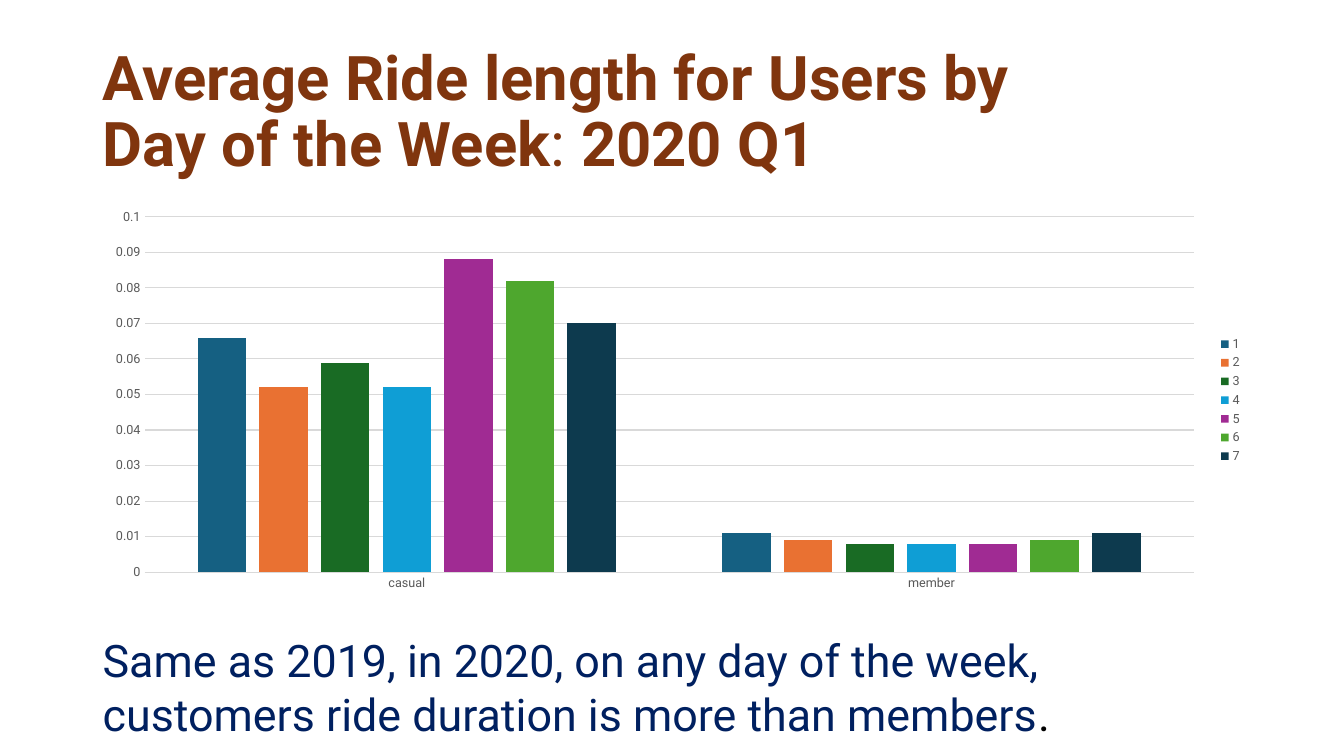
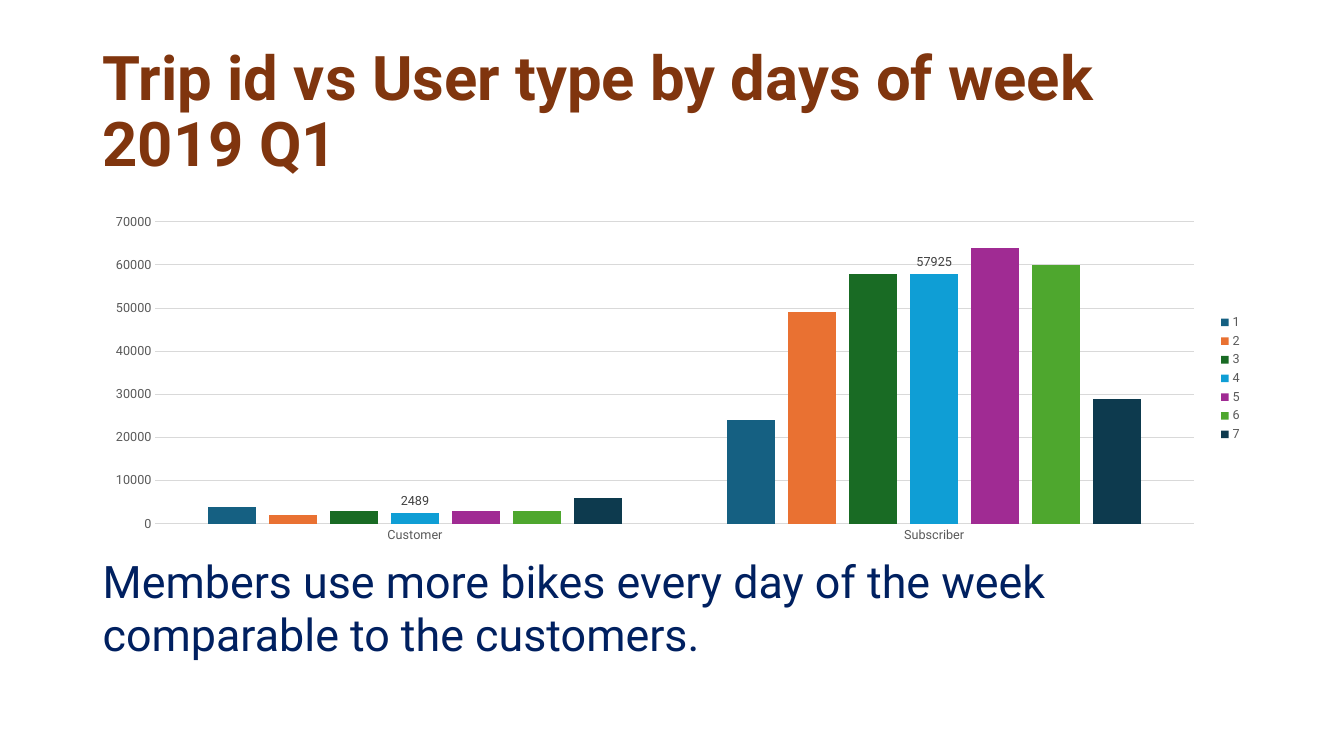
import pptx
import pptx.chart.data
import pptx.dml.color
import pptx.enum.chart
import pptx.enum.text
import pptx.util

Inches = pptx.util.Inches
Pt = pptx.util.Pt
RGBColor = pptx.dml.color.RGBColor

# Shared style
FONT = "Roboto"
BROWN = RGBColor(0x80, 0x35, 0x0E)
NAVY = RGBColor(0x00, 0x20, 0x60)
BLACK = RGBColor(0x00, 0x00, 0x00)
AXIS_GREY = RGBColor(0x59, 0x59, 0x59)
LABEL_GREY = RGBColor(0x40, 0x40, 0x40)
GRID_GREY = RGBColor(0xD9, 0xD9, 0xD9)
DAY_COLORS = [
    RGBColor(0x15, 0x60, 0x82),
    RGBColor(0xE9, 0x71, 0x32),
    RGBColor(0x19, 0x6B, 0x24),
    RGBColor(0x0F, 0x9E, 0xD5),
    RGBColor(0xA0, 0x2B, 0x93),
    RGBColor(0x4E, 0xA7, 0x2E),
    RGBColor(0x0D, 0x3A, 0x4E),
]
LEFT = Inches(0.92)
WIDTH = Inches(11.5)


class RideDeck:
    """Holds the presentation style and the current page."""

    def __init__(self):
        self.deck = pptx.Presentation()
        self.deck.slide_width = Inches(13.33)
        self.deck.slide_height = Inches(7.5)
        self.page = None

    def add_page(self):
        self.page = self.deck.slides.add_slide(self.deck.slide_layouts[6])

    def style_font(self, font, size, color):
        font.name = FONT
        font.size = Pt(size)
        font.color.rgb = color

    def style_line(self, line):
        line.color.rgb = GRID_GREY
        line.width = Pt(0.75)

    def add_text(self, top, height, size, color, width=WIDTH):
        box = self.page.shapes.add_textbox(LEFT, top, width, height)
        box.text_frame.word_wrap = True
        para = box.text_frame.paragraphs[0]
        self.style_font(para.font, size, color)
        return box.text_frame, para

    def add_title(self, *lines):
        """Each line is a list of (text, bold) pairs."""
        frame, para = self.add_text(Inches(0.4), Inches(1.45), 44, BROWN)
        frame.vertical_anchor = pptx.enum.text.MSO_ANCHOR.MIDDLE
        para.line_spacing = 0.9
        for number, line in enumerate(lines):
            if number:
                para.add_line_break()
            for text, bold in line:
                span = para.add_run()
                span.text = text
                span.font.bold = bold

    def add_takeaway(self, top, text, black_end="", width=WIDTH):
        frame, para = self.add_text(top, Inches(1.18), 32, NAVY, width)
        para.add_run().text = text
        if black_end:
            span = para.add_run()
            span.text = black_end
            span.font.color.rgb = BLACK

    def add_day_chart(self, top, height, user_types, day_values, peak, step, labelled_day=None):
        data = pptx.chart.data.CategoryChartData()
        data.categories = user_types
        for day, values in enumerate(day_values, start=1):
            data.add_series(str(day), values)
        chart = self.page.shapes.add_chart(
            pptx.enum.chart.XL_CHART_TYPE.COLUMN_CLUSTERED, LEFT, top, WIDTH, height, data
        ).chart
        chart.has_title = False
        self.style_font(chart.font, 10, BLACK)

        # Legend
        chart.has_legend = True
        chart.legend.position = pptx.enum.chart.XL_LEGEND_POSITION.RIGHT
        chart.legend.include_in_layout = False
        self.style_font(chart.legend.font, 9, AXIS_GREY)

        # Axes
        for axis in (chart.category_axis, chart.value_axis):
            axis.major_tick_mark = pptx.enum.chart.XL_TICK_MARK.NONE
            axis.minor_tick_mark = pptx.enum.chart.XL_TICK_MARK.NONE
            self.style_font(axis.tick_labels.font, 9, AXIS_GREY)
        self.style_line(chart.category_axis.format.line)
        value_axis = chart.value_axis
        value_axis.format.line.fill.background()
        value_axis.minimum_scale = 0
        value_axis.maximum_scale = peak
        value_axis.major_unit = step
        value_axis.has_major_gridlines = True
        self.style_line(value_axis.major_gridlines.format.line)

        # Columns
        plot = chart.plots[0]
        plot.vary_by_categories = False
        plot.gap_width = 219
        plot.overlap = -27
        for series, color in zip(plot.series, DAY_COLORS):
            series.format.fill.solid()
            series.format.fill.fore_color.rgb = color
        if labelled_day:
            labels = plot.series[labelled_day - 1].data_labels
            labels.show_value = True
            labels.position = pptx.enum.chart.XL_LABEL_POSITION.OUTSIDE_END
            self.style_font(labels.font, 9, LABEL_GREY)


def main():
    rides = RideDeck()

    # Ride length by day
    rides.add_page()
    rides.add_title(
        [("Average Ride length for Users by ", True)],
        [("Day of the Week", True), (": ", False), ("2020 Q1", True)],
    )
    rides.add_day_chart(
        Inches(2), Inches(3.94), ["casual", "member"],
        [(0.066, 0.011), (0.052, 0.009), (0.059, 0.008), (0.052, 0.008),
         (0.088, 0.008), (0.082, 0.009), (0.07, 0.011)],
        peak=0.1, step=0.01,
    )
    rides.add_takeaway(
        Inches(6.23),
        "Same as 2019, in 2020, on any day of the week, "
        "customers ride duration is more than members",
        black_end=".", width=Inches(11.23),
    )

    # Trips by day
    rides.add_page()
    rides.add_title([("Trip id vs User type by days of week 2019 Q1", True)])
    rides.add_day_chart(
        Inches(2.06), Inches(3.39), ["Customer", "Subscriber"],
        [(4000, 24000), (2000, 49000), (3000, 58000), (2489, 57925),
         (3000, 64000), (3000, 60000), (6000, 29000)],
        peak=70000, step=10000, labelled_day=4,
    )
    rides.add_takeaway(
        Inches(5.44),
        "Members use more bikes every day of the week comparable to the customers.",
    )

    rides.deck.save("out.pptx")


if __name__ == "__main__":
    main()
